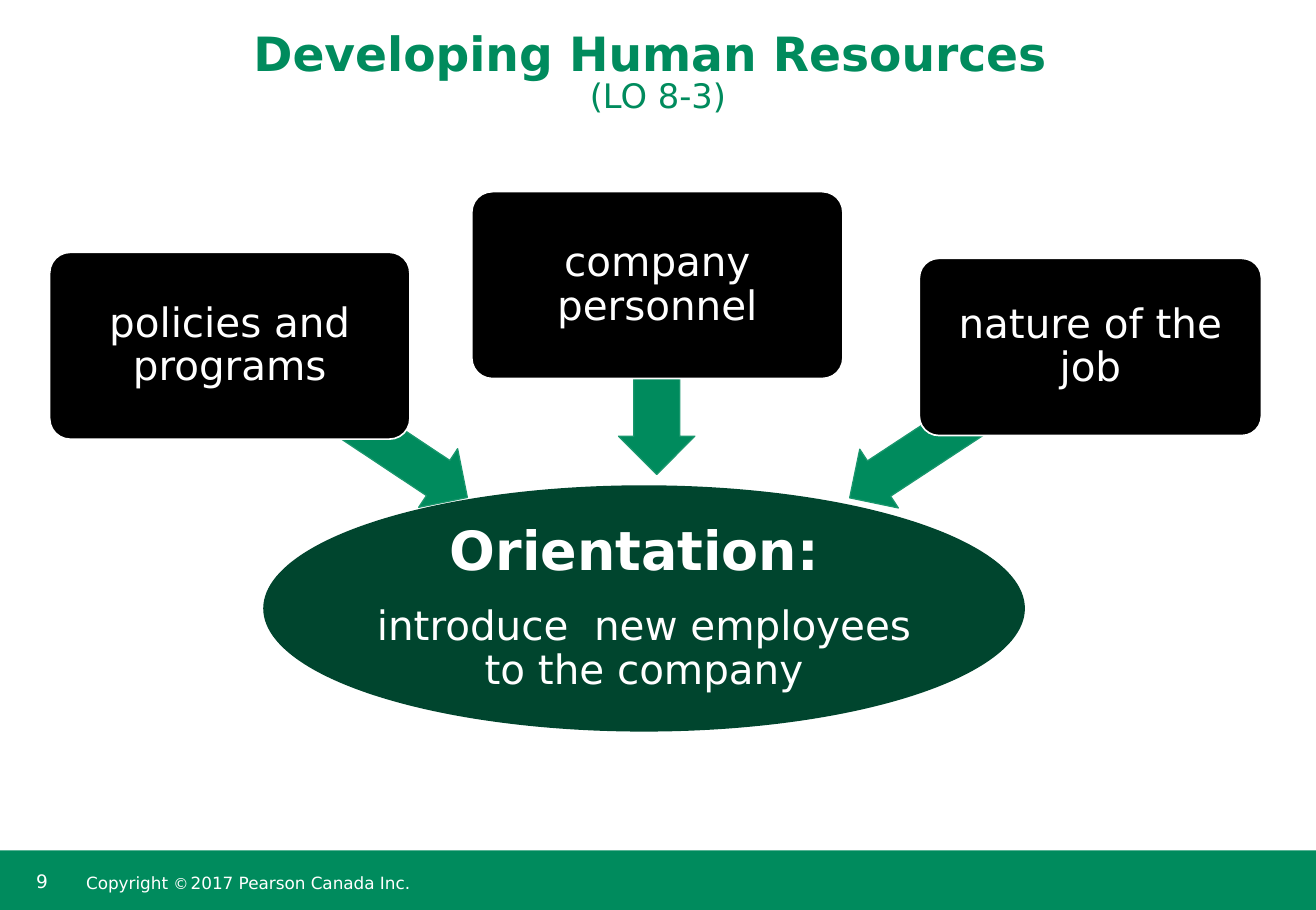
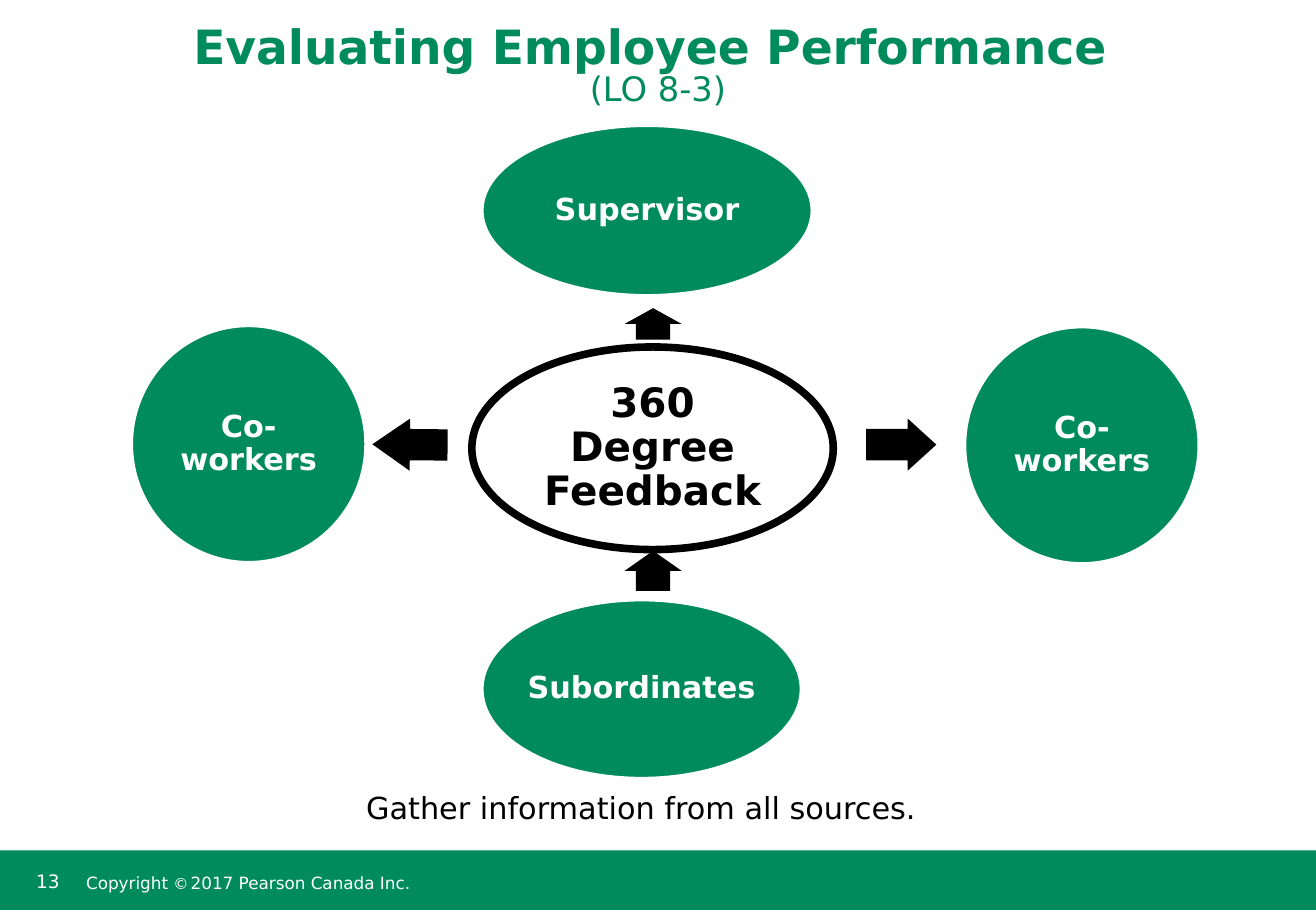
from pptx import Presentation
from pptx.dml.color import RGBColor
from pptx.enum.shapes import MSO_SHAPE
from pptx.enum.text import MSO_ANCHOR, PP_ALIGN
from pptx.util import Pt

PX = 9144
FONT = "DejaVu Sans"
GREEN, DARK, EDGE = "008B5D", "00452E", "19976D"
WHITE, BLACK = "FFFFFF", "000000"
WIDTH, HEIGHT = 1085, 750


def draw(page, kind, frame, fill=None, edge=None, weight=1, turn=0, adjust=()):
    frame = [value * PX for value in frame]
    if kind is None:
        return page.shapes.add_textbox(*frame)
    shape = page.shapes.add_shape(kind, *frame)
    shape.shadow.inherit = False
    shape.rotation = turn
    for index, value in enumerate(adjust):
        shape.adjustments[index] = value
    shape.fill.solid()
    shape.fill.fore_color.rgb = RGBColor.from_string(fill)
    if edge:
        shape.line.color.rgb = RGBColor.from_string(edge)
        shape.line.width = Pt(weight)
    else:
        shape.line.fill.background()
    return shape


def write(box, paragraphs, color, align=PP_ALIGN.CENTER, anchor=MSO_ANCHOR.MIDDLE,
          spacing=0.9, after=(0,), insets=(0, 0, 0, 0), wrap=True):
    frame = box.text_frame
    frame.word_wrap = wrap
    frame.vertical_anchor = anchor
    (frame.margin_left, frame.margin_top,
     frame.margin_right, frame.margin_bottom) = [value * PX for value in insets]
    for index, spans in enumerate(paragraphs):
        para = frame.add_paragraph() if index else frame.paragraphs[0]
        para.alignment = align
        para.line_spacing = spacing
        para.space_after = Pt(after[index])
        for text, size, bold in spans:
            if text == "\v":
                para.add_line_break()
                continue
            span = para.add_run()
            span.text = text
            span.font.name = FONT
            span.font.size = Pt(size)
            span.font.bold = bold
            span.font.color.rgb = RGBColor.from_string(color)


deck = Presentation()
deck.slide_width, deck.slide_height = WIDTH * PX, HEIGHT * PX

pages = []
for title, title_height, number in [
    ("Developing Human Resources ", 100, "9"),
    ("Evaluating Employee Performance ", 94, "13"),
]:
    page = deck.slides.add_slide(deck.slide_layouts[6])
    pages.append(page)
    draw(page, MSO_SHAPE.RECTANGLE, (0, 701, WIDTH, 50), GREEN)
    write(draw(page, None, (20, 712, 47, 32)), [[(number, 11, False)]], WHITE,
          PP_ALIGN.LEFT, MSO_ANCHOR.TOP, 1, insets=(10, 5, 10, 5))
    write(draw(page, None, (66, 701, 578, 50)),
          [[("Copyright ", 10, False), ("©", 9, False), (" ", 4, False),
            ("2017 Pearson Canada Inc.", 10, False)]],
          WHITE, PP_ALIGN.LEFT, spacing=0.85, insets=(5, 10, 5, 5))
    write(draw(page, None, (0, 0, WIDTH, title_height)),
          [[(title, 28, True), ("\v", 28, True), ("(LO 8-3)", 20, False)]],
          GREEN, anchor=MSO_ANCHOR.BOTTOM, spacing=0.85, after=(6.5,),
          insets=(10, 5, 10, 5))

orientation_page, feedback_page = pages

orientation = draw(orientation_page, MSO_SHAPE.OVAL, (217, 400, 628, 203), DARK)
write(orientation,
      [[("Orientation: ", 32, True)],
       [("introduce  new employees to the company", 24, False)]],
      WHITE, after=(14, 10.5))

for topic, card, arrow, turn in [
    ("policies and programs", (41, 208, 297, 154), (170, 316, 235, 58), 213.6),
    ("company personnel", (389, 158, 306, 154), (464, 282, 155, 63), 270),
    ("nature of the job", (758, 213, 282, 146), (681, 316, 238, 58), 326.7),
]:
    draw(orientation_page, MSO_SHAPE.LEFT_ARROW, arrow, GREEN, EDGE, 0.75, turn, (0.6, 0.5))
    box = draw(orientation_page, MSO_SHAPE.ROUNDED_RECTANGLE, card, BLACK, WHITE, adjust=(0.11,))
    write(box, [[(topic, 24, False)]], WHITE, after=(10.5,), insets=(7, 7, 7, 7))

write(draw(feedback_page, None, (292, 650, 588, 58)),
      [[("Gather information from all sources.", 18, False)]], BLACK,
      PP_ALIGN.LEFT, MSO_ANCHOR.TOP, 0.85, (6.5,), (10, 5, 10, 5))

feedback = draw(feedback_page, MSO_SHAPE.OVAL, (389, 286, 298, 167), WHITE, BLACK, 4.5)
write(feedback, [[("360 Degree Feedback", 24, True)]], BLACK, after=(10.5,))

for kind, frame, head, turn in [
    (MSO_SHAPE.UP_ARROW, (515, 254, 47, 26), 0.5, 0),
    (MSO_SHAPE.RIGHT_ARROW, (714, 345, 58, 43), 0.55, 0),
    (MSO_SHAPE.UP_ARROW, (515, 454, 47, 33), 0.5, 0),
    (MSO_SHAPE.LEFT_ARROW, (307, 345, 62, 43), 0.72, 0.6),
]:
    draw(feedback_page, kind, frame, BLACK, turn=turn, adjust=(0.6, head))

for source, frame, wrap in [
    ("Supervisor", (398, 104, 271, 139), False),
    ("Co-workers", (796, 270, 192, 194), True),
    ("Subordinates", (398, 495, 262, 146), False),
    ("Co-workers", (109, 269, 192, 194), True),
]:
    oval = draw(feedback_page, MSO_SHAPE.OVAL, frame, GREEN, WHITE)
    write(oval, [[(source, 18, True)]], WHITE, after=(7.9,), wrap=wrap)

deck.save("out.pptx")
